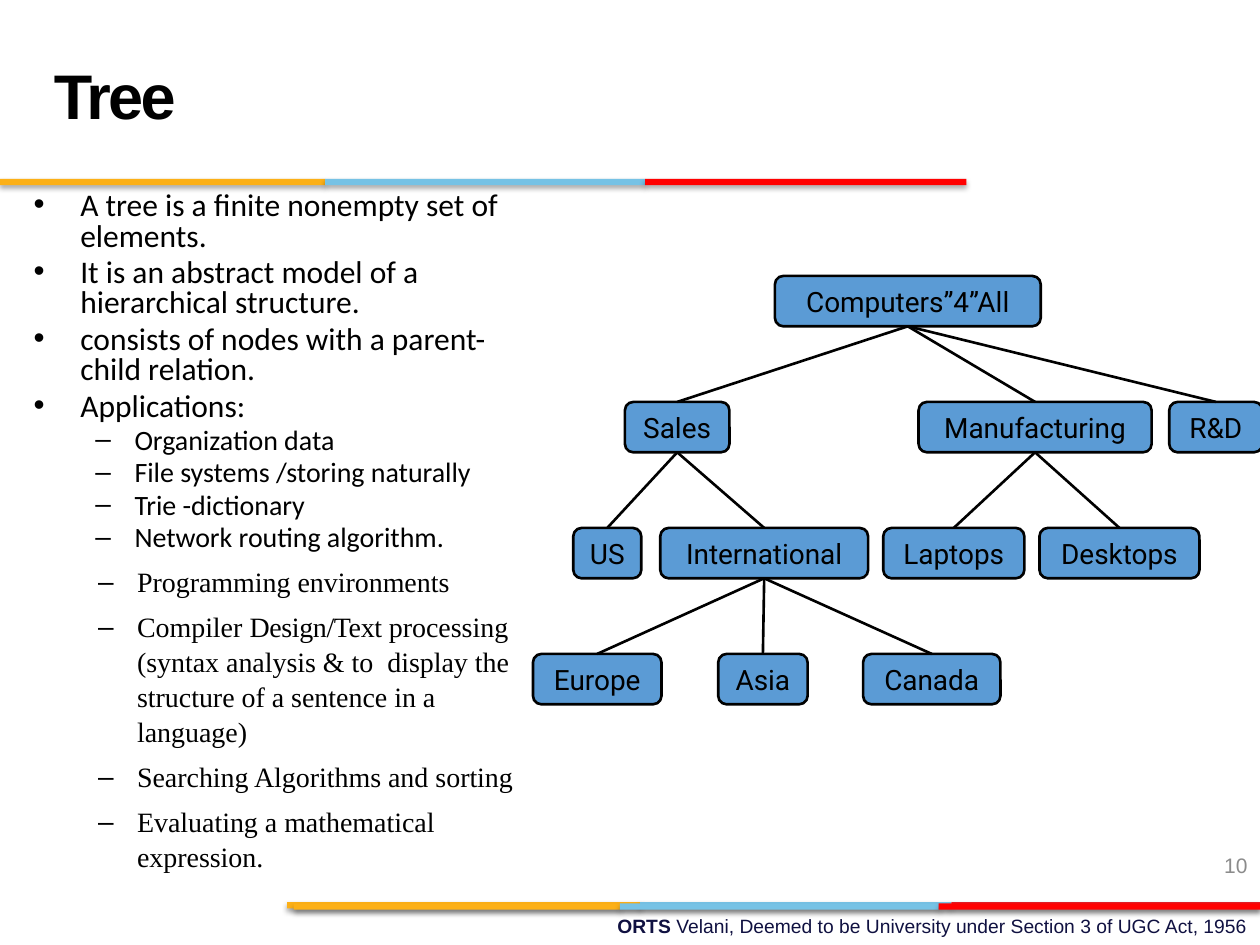
import pptx
import pptx.util
import pptx.dml.color
import pptx.enum.shapes
import pptx.enum.text
import pptx.oxml
import pptx.oxml.ns
from lxml import etree

Inches, Pt = pptx.util.Inches, pptx.util.Pt
SHAPE = pptx.enum.shapes.MSO_SHAPE
ALIGN = pptx.enum.text.PP_ALIGN
ANCHOR = pptx.enum.text.MSO_ANCHOR
qn = pptx.oxml.ns.qn

# ---- Content ----
TITLE = "Tree"
PAGE = "10"
FOOTER = [("ORTS ", True),
          ("Velani, Deemed to be University under Section 3 of UGC Act, 1956", False)]

# (bullet style, runs); a run is (text, letter spacing in points)
BULLETS = [
    ("main", [("A tree is a finite nonempty set of elements.", 0)]),
    ("main", [("It is an abstract model of a hierarchical structure.", 0)]),
    ("main", [("consists of nodes with a parent-child relation.", 0)]),
    ("main", [("Applications:", 0)]),
    ("sub", [("Organization data", 0)]),
    ("sub", [("File systems /storing naturally", 0)]),
    ("sub", [("Trie -dictionary", 0)]),
    ("sub", [("Network routing algorithm.", 0)]),
    ("serif", [("Programming environments", 0)]),
    ("serif", [("Compiler ", 0), ("Design/Text ", -0.2),
               ("processing (syntax analysis & to  display the structure "
                "of a sentence in a language)", 0)]),
    ("serif", [("Searching Algorithms and sorting", 0)]),
    ("serif", [("Evaluating a mathematical expression.", 0)]),
]

# (name, parent, row, left, width)
ROOT = "Computers”4”All"
NODES = [
    (ROOT, None, 0, 6.15, 2.11),
    ("Sales", ROOT, 1, 4.96, 0.83),
    ("Manufacturing", ROOT, 1, 7.29, 1.85),
    ("R&D", ROOT, 1, 9.28, 0.74),
    ("US", "Sales", 2, 4.55, 0.54),
    ("International", "Sales", 2, 5.24, 1.65),
    ("Laptops", "Manufacturing", 2, 7.01, 1.12),
    ("Desktops", "Manufacturing", 2, 8.25, 1.27),
    ("Europe", "International", 3, 4.23, 1.02),
    ("Asia", "International", 3, 5.7, 0.71),
    ("Canada", "International", 3, 6.85, 1.09),
]

# ---- Theme and layout ----
THEME = {
    "ink": "000000", "navy": "101141", "grey": "8B8B8B", "node": "5B9BD5",
    "gold": "FCB017", "sky": "76C2E5", "crimson": "E31C24", "red": "FF0000",
    "head": "Arial", "body": "Calibri", "serif": "Times New Roman", "label": "Roboto",
    "title_pt": 36, "page_pt": 12, "footer_pt": 11, "node_pt": 16, "line_pt": 1.5,
}
# symbol, level, margin, hanging indent, line spacing, space before, font, size
STYLES = {
    "main": ("•", 0, 0.38, 0.37, 0.8, 3.6, THEME["body"], 18),
    "sub": ("–", 1, 0.81, 0.31, 0.8, 3.2, THEME["body"], 16),
    "serif": ("–", 1, 0.83, 0.31, 1.04, 5.8, THEME["serif"], 16),
}
W, H = 10, 7.5
BAR_H = 0.05
# top, edges of the three bars, their colours
RULES = [
    (7.16, (2.28, 5.08, 7.55, W), ("gold", "sky", "crimson")),
    (7.17, (2.33, 4.92, 7.45, W), ("gold", "sky", "red")),
    (1.42, (0, 2.58, 5.12, 7.67), ("gold", "sky", "red")),
]
TREE_TOP, ROW_STEP, NODE_H = 2.19, 1, 0.4


def rgb(name):
    return pptx.dml.color.RGBColor.from_string(THEME[name])


def add_run(p, text, font, size, color="ink", bold=False, spacing=0):
    r = p.add_run()
    r.text = text
    r.font.name, r.font.size, r.font.bold = font, Pt(size), bold
    r.font.color.rgb = rgb(color)
    if spacing:
        r.font._element.set("spc", str(round(spacing * 100)))


def add_text(s, left, top, width, height, anchor=ANCHOR.TOP):
    tf = s.shapes.add_textbox(*map(Inches, (left, top, width, height))).text_frame
    tf.word_wrap = True
    tf.vertical_anchor = anchor
    return tf


def add_box(s, kind, left, top, width, height, color):
    sp = s.shapes.add_shape(kind, *map(Inches, (left, top, width, height)))
    sp.shadow.inherit = False
    sp.fill.solid()
    sp.fill.fore_color.rgb = rgb(color)
    return sp


def add_rule(s, top, edges, colors):
    for left, right, color in zip(edges, edges[1:], colors):
        sp = add_box(s, SHAPE.RECTANGLE, left, top, right - left, BAR_H, color)
        sp.line.fill.background()
        effects = sp._element.spPr.find(qn("a:effectLst"))
        shadow = etree.SubElement(effects, qn("a:outerShdw"), blurRad=str(Pt(3.1)),
                                  dist=str(Pt(1.8)), dir="5400000", rotWithShape="0")
        clr = etree.SubElement(shadow, qn("a:srgbClr"), val=THEME["ink"])
        etree.SubElement(clr, qn("a:alpha"), val="35000")


def add_bullet(p, style, runs):
    symbol, level, margin, hang, leading, before, font, size = STYLES[style]
    p.level, p.line_spacing, p.space_before = level, leading, Pt(before)
    pPr = p._p.get_or_add_pPr()
    pPr.set("marL", str(Inches(margin)))
    pPr.set("indent", str(-Inches(hang)))
    clr = etree.SubElement(pPr, qn("a:buClr"))
    etree.SubElement(clr, qn("a:srgbClr"), val=THEME["ink"])
    etree.SubElement(pPr, qn("a:buFont"), typeface=THEME["head"])
    etree.SubElement(pPr, qn("a:buChar"), char=symbol)
    for text, spacing in runs:
        add_run(p, text, font, size, spacing=spacing)


def add_node(s, name, row, left, width):
    sp = add_box(s, SHAPE.ROUNDED_RECTANGLE, left, TREE_TOP + row * ROW_STEP,
                 width, NODE_H, "node")
    sp.line.color.rgb, sp.line.width = rgb("ink"), Pt(THEME["line_pt"])
    tf = sp.text_frame
    tf.word_wrap, tf.vertical_anchor = False, ANCHOR.MIDDLE
    p = tf.paragraphs[0]
    p.alignment = ALIGN.CENTER
    add_run(p, name, THEME["label"], THEME["node_pt"])
    return sp


def add_branch(s, parent, child):
    line = s.shapes.add_connector(pptx.enum.shapes.MSO_CONNECTOR.STRAIGHT, 0, 0, 0, 0)
    line.begin_connect(parent, 2)
    line.end_connect(child, 0)
    line.line.color.rgb, line.line.width = rgb("ink"), Pt(THEME["line_pt"])
    etree.SubElement(line._element.spPr, qn("a:effectLst"))


def main():
    prs = pptx.Presentation()
    prs.slide_width, prs.slide_height = Inches(W), Inches(H)
    s = prs.slides.add_slide(prs.slide_layouts[6])

    # Footer and coloured rules
    p = add_text(s, 3.58, 7.21, 6.42, 0.28).paragraphs[0]
    p.alignment = ALIGN.RIGHT
    for text, bold in FOOTER:
        add_run(p, text, THEME["head"], THEME["footer_pt"], "navy", bold)
    for rule in RULES:
        add_rule(s, *rule)

    # Title and page number
    p = add_text(s, 0.33, 0.17, 6.92, 1.25, ANCHOR.MIDDLE).paragraphs[0]
    p.line_spacing = Pt(THEME["title_pt"])
    add_run(p, TITLE, THEME["head"], THEME["title_pt"], bold=True, spacing=-1.5)
    p = add_text(s, 7.67, 6.67, 2.33, 0.4, ANCHOR.MIDDLE).paragraphs[0]
    p.alignment = ALIGN.RIGHT
    add_run(p, PAGE, THEME["head"], THEME["page_pt"], "grey")

    # Bullet list
    tf = add_text(s, 0.16, 1.48, 4.06, 6.02)
    for i, (style, runs) in enumerate(BULLETS):
        add_bullet(tf.add_paragraph() if i else tf.paragraphs[0], style, runs)

    # Tree diagram
    nodes = {}
    for name, parent, row, left, width in NODES:
        nodes[name] = add_node(s, name, row, left, width)
        if parent:
            add_branch(s, nodes[parent], nodes[name])

    prs.save("out.pptx")


if __name__ == "__main__":
    main()
